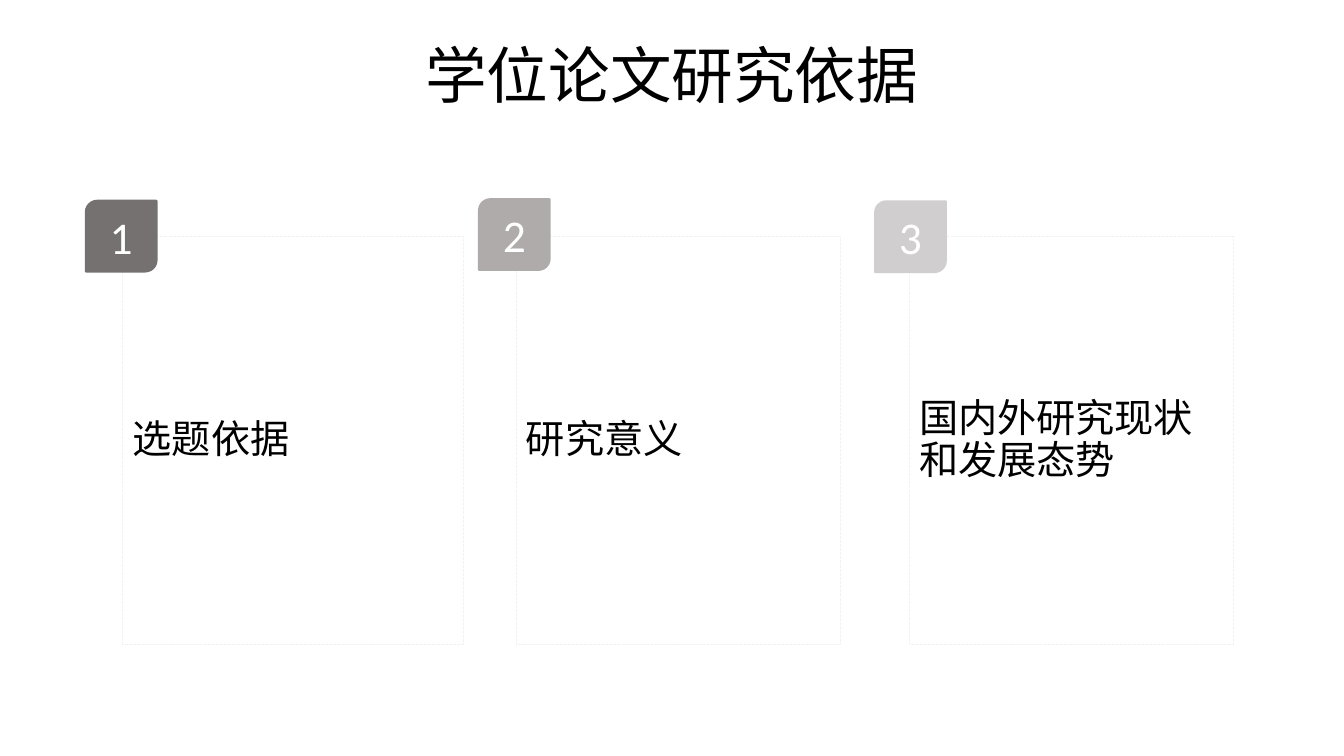
from pptx import Presentation
from pptx.dml.color import RGBColor
from pptx.enum.dml import MSO_LINE
from pptx.enum.shapes import MSO_SHAPE
from pptx.enum.text import MSO_ANCHOR, PP_ALIGN
from pptx.util import Pt

RECT = MSO_SHAPE.RECTANGLE
LEAF = MSO_SHAPE.ROUND_2_DIAG_RECTANGLE
DASH = MSO_LINE.SQUARE_DOT
TOP, MIDDLE = MSO_ANCHOR.TOP, MSO_ANCHOR.MIDDLE
LEFT, CENTER = PP_ALIGN.LEFT, PP_ALIGN.CENTER

# Content: card text, card width, badge colour, badge left and top
TITLE = "学位论文研究依据"
CARDS = [
    ("选题依据", 243.4, "767171", 60.6, 142.7),
    ("研究意义", 231.8, "AFABAB", 341.4, 141.6),
    ("国内外研究现状和发展态势", 231.8, "D0CECE", 624.4, 143.1),
]


class Theme:
    font = "Calibri"
    ink, white, rule = "000000", "FFFFFF", "F2F2F2"
    title, body, badge = 44, 28, 32.4


# Layout
CARD_X, CARD_Y, CARD_H, PITCH = 87.8, 169.2, 290.9, 280.8
BADGE = 52


def rgb(code):
    return RGBColor.from_string(code)


def write(shape, text, size, color, align, anchor=MIDDLE):
    frame = shape.text_frame
    frame.text = text
    frame.word_wrap = True
    frame.vertical_anchor = anchor
    para = frame.paragraphs[0]
    para.alignment = align
    font = para.runs[0].font
    font.name, font.size = Theme.font, Pt(size)
    font.color.rgb = rgb(color)
    return para


def add(kind, x, y, w, h):
    shape = slide.shapes.add_shape(kind, Pt(x), Pt(y), Pt(w), Pt(h))
    shape.shadow.inherit = False
    return shape


deck = Presentation()
deck.slide_width, deck.slide_height = Pt(960), Pt(540)
slide = deck.slides.add_slide(deck.slide_layouts[5])

# Title
head = slide.shapes.title
head.left, head.top, head.width, head.height = Pt(66), Pt(28.8), Pt(828), Pt(104.4)
write(head, TITLE, Theme.title, Theme.ink, CENTER, TOP).line_spacing = 0.9

# Cards with numbered badges
for i, (text, width, color, x, y) in enumerate(CARDS):
    card = add(RECT, CARD_X + i * PITCH, CARD_Y, width, CARD_H)
    card.fill.background()
    card.line.color.rgb = rgb(Theme.rule)
    card.line.width = Pt(0.75)
    card.line.dash_style = DASH
    para = write(card, text, Theme.body, Theme.ink, LEFT)
    para.line_spacing = 0.9
    para.space_before = Pt(10)

    badge = add(LEAF, x, y, BADGE, BADGE)
    badge.adjustments[0], badge.adjustments[1] = 0.17, 0.02
    badge.fill.solid()
    badge.fill.fore_color.rgb = rgb(color)
    badge.line.fill.background()
    write(badge, str(i + 1), Theme.badge, Theme.white, CENTER)

deck.save("out.pptx")
